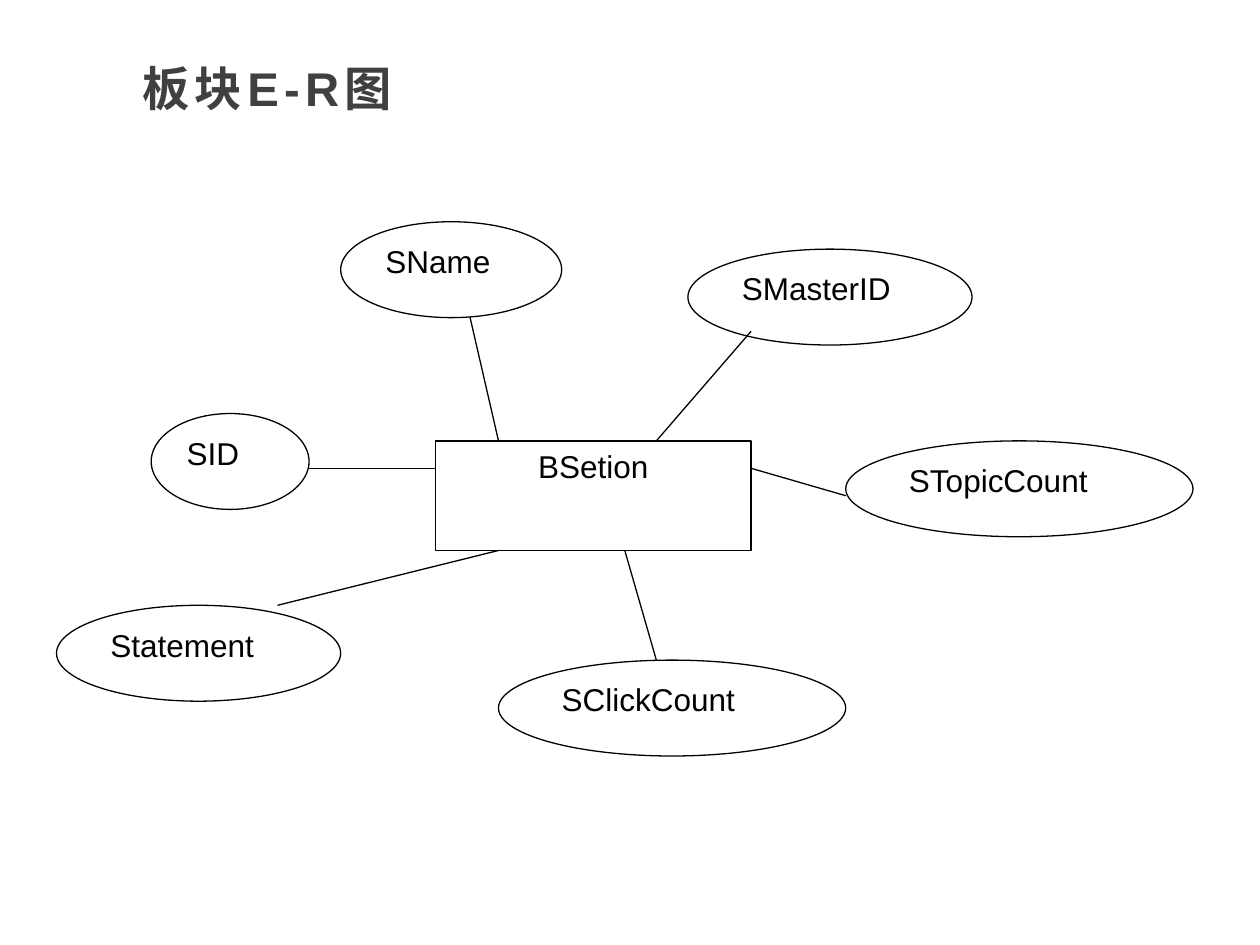
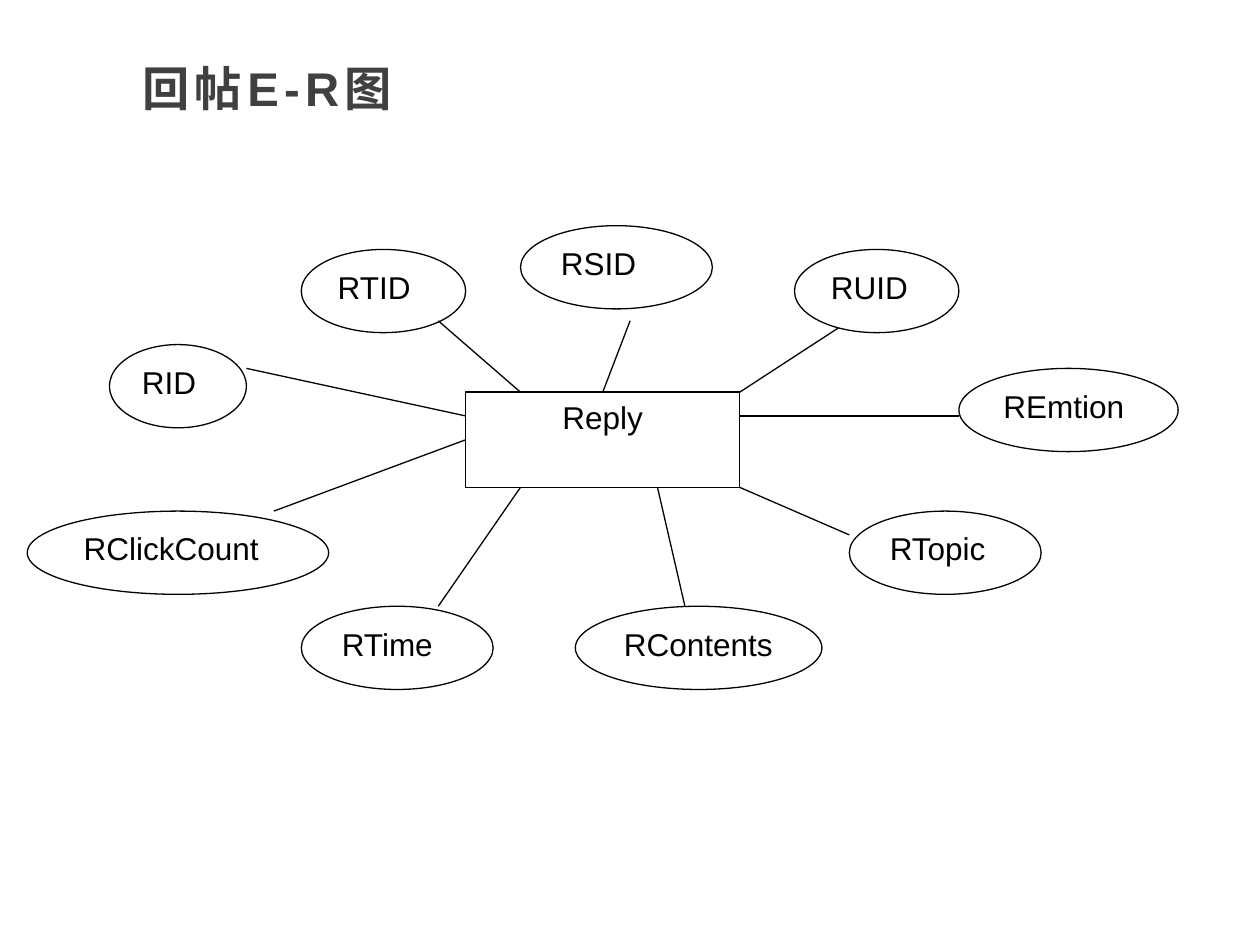
from collections import namedtuple

from lxml import etree
from pptx import Presentation
from pptx.dml.color import RGBColor
from pptx.enum.shapes import MSO_CONNECTOR, MSO_SHAPE
from pptx.enum.text import MSO_ANCHOR, PP_ALIGN
from pptx.oxml.ns import qn
from pptx.util import Cm, Pt

ELLIPSE = MSO_SHAPE.OVAL
PROCESS = MSO_SHAPE.FLOWCHART_PROCESS
STRAIGHT = MSO_CONNECTOR.STRAIGHT
TOP = MSO_ANCHOR.TOP
LEFT, CENTER = PP_ALIGN.LEFT, PP_ALIGN.CENTER

BLACK = RGBColor(0x00, 0x00, 0x00)
WHITE = RGBColor(0xFF, 0xFF, 0xFF)
TITLE_GRAY = RGBColor(0x40, 0x40, 0x40)
FONT = "Arial"
LINE_WIDTH = Pt(0.75)

# Diagram positions are counted in grid steps from the corner of its box.
ROWS = 19.5
ELLIPSE_ROWS = 3.5
ENTITY_COLUMNS, ENTITY_ROWS = 10, 4

Box = namedtuple("Box", "left top width height")  # centimetres
Entity = namedtuple("Entity", "name column row")
# link: start at the entity, end at the attribute
Attribute = namedtuple("Attribute", "name column row columns link link_behind",
                       defaults=[False])

TITLE_BOX = Box(2.67, 1.12, 7.57, 1.3)

SECTION_BOX = Box(1.14, 4.47, 22.91, 10.77)
SECTION_COLUMNS = 36
SECTION = Entity("BSetion", 12, 8)
SECTION_ATTRIBUTES = [
    Attribute("SID", 3, 7, 5, ((12, 9), (8, 9))),
    Attribute("SName", 9, 0, 7, ((14, 8), (13, 3)), True),
    Attribute("SMasterID", 20, 1, 9, ((19, 8), (22, 4))),
    Attribute("STopicCount", 25, 8, 11, ((22, 9), (25, 10))),
    Attribute("SClickCount", 14, 16, 11, ((18, 12), (19, 16))),
    Attribute("Statement", 0, 14, 9, ((14, 12), (7, 14))),
]

REPLY_BOX = Box(0.55, 4.55, 23.2, 9.35)
REPLY_COLUMNS = 42
REPLY = Entity("Reply", 16, 7)
REPLY_ATTRIBUTES = [
    Attribute("RUID", 28, 1, 6, ((26, 7), (30, 4)), True),
    Attribute("REmtion", 34, 6, 8, ((26, 8), (34, 8))),
    Attribute("RTopic", 30, 12, 7, ((26, 11), (30, 13))),
    Attribute("RContents", 20, 16, 9, ((23, 11), (24, 16))),
    Attribute("RTime", 10, 16, 7, ((18, 11), (15, 16))),
    Attribute("RClickCount", 0, 12, 11, ((16, 9), (9, 12))),
    Attribute("RID", 3, 5, 5, ((16, 8), (8, 6))),
    Attribute("RTID", 10, 1, 6, ((18, 7), (15, 4))),
    Attribute("RSID", 18, 0, 7, ((21, 7), (22, 4))),
]


def set_font(paragraph, size, color, bold=False):
    font = paragraph.font
    font.name = FONT
    font.size = Pt(size)
    font.bold = bold
    font.color.rgb = color


def add_title(slide, box, text):
    title = slide.shapes.add_textbox(*map(Cm, box))
    frame = title.text_frame
    frame.word_wrap = True
    frame.margin_left, frame.margin_right = Cm(0.2), Cm(0.13)
    frame.margin_top = frame.margin_bottom = Cm(0.08)
    paragraph = frame.paragraphs[0]
    run = paragraph.add_run()
    run.text = text
    run.font._element.set("spc", "300")
    set_font(paragraph, 27, TITLE_GRAY, bold=True)


def add_node(slide, kind, box, text, alignment):
    node = slide.shapes.add_shape(kind, *map(Cm, box))
    node.shadow.inherit = False
    node.fill.solid()
    node.fill.fore_color.rgb = WHITE
    node.line.color.rgb = BLACK
    node.line.width = LINE_WIDTH
    frame = node.text_frame
    frame.vertical_anchor = TOP
    paragraph = frame.paragraphs[0]
    paragraph.text = text
    paragraph.alignment = alignment
    set_font(paragraph, 18, BLACK)


def add_link(slide, start, end):
    link = slide.shapes.add_connector(STRAIGHT, *map(Cm, start + end))
    link.line.color.rgb = BLACK
    link.line.width = LINE_WIDTH
    etree.SubElement(link._element.spPr, qn("a:effectLst"))


def add_er_diagram(slide, box, columns, entity, attributes):
    step_x, step_y = box.width / columns, box.height / ROWS

    def point(column, row):
        return box.left + column * step_x, box.top + row * step_y

    def cells(column, row, width, height):
        return Box(*point(column, row), width * step_x, height * step_y)

    def add_links(behind):
        for attribute in attributes:
            if attribute.link_behind == behind:
                start, end = attribute.link
                add_link(slide, point(*start), point(*end))

    add_node(slide, PROCESS,
             cells(entity.column, entity.row, ENTITY_COLUMNS, ENTITY_ROWS),
             entity.name, CENTER)
    add_links(behind=True)
    for attribute in attributes:
        area = cells(attribute.column, attribute.row,
                     attribute.columns, ELLIPSE_ROWS)
        add_node(slide, ELLIPSE, area, attribute.name, LEFT)
    add_links(behind=False)


def add_er_slide(presentation, title, *diagram):
    slide = presentation.slides.add_slide(presentation.slide_layouts[6])
    add_title(slide, TITLE_BOX, title)
    add_er_diagram(slide, *diagram)


def main():
    presentation = Presentation()
    presentation.slide_width = Cm(25.4)
    presentation.slide_height = Cm(19.05)
    add_er_slide(presentation, "板块E-R图", SECTION_BOX, SECTION_COLUMNS,
                 SECTION, SECTION_ATTRIBUTES)
    add_er_slide(presentation, "回帖E-R图", REPLY_BOX, REPLY_COLUMNS,
                 REPLY, REPLY_ATTRIBUTES)
    presentation.save("out.pptx")


if __name__ == "__main__":
    main()
